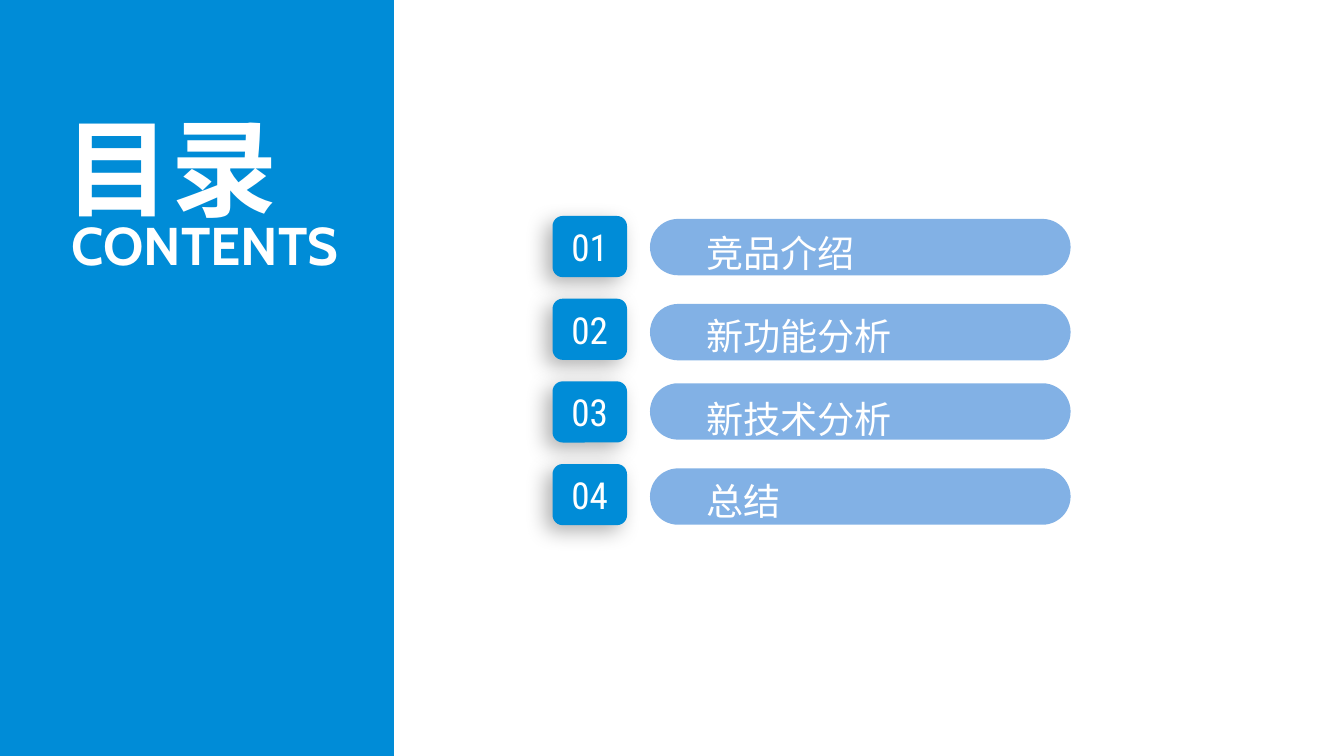
from dataclasses import dataclass

from lxml import etree
from pptx import Presentation
from pptx import util as u
from pptx.dml.color import RGBColor
from pptx.enum import shapes, text
from pptx.oxml.ns import qn


@dataclass(frozen=True)
class Theme:
    blue: str = "008CD7"
    light_blue: str = "82B1E5"
    white: str = "FFFFFF"
    shadow: str = "000000"
    chinese_font: str = "Noto Sans CJK SC"
    latin_font: str = "Cabin"
    number_font: str = "Roboto Condensed"
    title_size: int = 80
    subtitle_size: int = 40
    entry_size: int = 28


def write(frame, words, *, font, size, color, bold=False,
          align=text.PP_ALIGN.LEFT, anchor=text.MSO_ANCHOR.TOP,
          wrap=True, line_spacing=1.2):
    """Fill a text frame with one formatted line."""
    frame.auto_size = text.MSO_AUTO_SIZE.NONE
    frame.word_wrap = wrap
    frame.vertical_anchor = anchor
    para = frame.paragraphs[0]
    para.alignment = align
    para.line_spacing = line_spacing
    span = para.add_run()
    span.text = words
    span.font.size = u.Pt(size)
    span.font.bold = bold
    span.font.color.rgb = RGBColor.from_string(color)
    span.font.name = font
    # East Asian characters need their own typeface entry
    latin = span.font.fill and span._r.rPr.find(qn("a:latin"))
    east_asian = etree.Element(qn("a:ea"), typeface=font)
    latin.addnext(east_asian)


class ContentsPage:
    def __init__(self, deck, theme):
        self.theme = theme
        self.page = deck.slides.add_slide(deck.slide_layouts[5])

    def block(self, kind, left, top, width, height, color):
        shape = self.page.shapes.add_shape(
            kind, *map(u.Inches, (left, top, width, height)))
        shape.fill.solid()
        shape.fill.fore_color.rgb = RGBColor.from_string(color)
        shape.line.fill.background()
        shape.shadow.inherit = False
        return shape

    def panel(self, left, top, width, height):
        return self.block(shapes.MSO_SHAPE.RECTANGLE,
                          left, top, width, height, self.theme.blue)

    def title(self, words, left, top, width, height, behind):
        title = self.page.shapes.title
        title.left, title.top, title.width, title.height = map(
            u.Inches, (left, top, width, height))
        write(title.text_frame, words, font=self.theme.chinese_font,
              size=self.theme.title_size, color=self.theme.white, bold=True)
        behind.element.addnext(title.element)

    def label(self, words, left, top, width, height, **style):
        box = self.page.shapes.add_textbox(
            *map(u.Inches, (left, top, width, height)))
        write(box.text_frame, words, color=self.theme.white, **style)

    def pill(self, left, top, width, height):
        shape = self.block(shapes.MSO_SHAPE.ROUNDED_RECTANGLE,
                           left, top, width, height, self.theme.light_blue)
        shape.adjustments[0] = 0.5

    def badge(self, number, left, top, width, height):
        shape = self.block(shapes.MSO_SHAPE.ROUNDED_RECTANGLE,
                           left, top, width, height, self.theme.blue)
        write(shape.text_frame, number, font=self.theme.number_font,
              size=self.theme.entry_size, color=self.theme.white,
              align=text.PP_ALIGN.CENTER, anchor=text.MSO_ANCHOR.MIDDLE,
              line_spacing=1.0)
        self.drop_shadow(shape)

    def drop_shadow(self, shape):
        effects = shape.element.spPr.find(qn("a:effectLst"))
        shadow = etree.SubElement(
            effects, qn("a:outerShdw"), blurRad=str(u.Pt(16)),
            dist=str(u.Pt(7)), dir=str(135 * 60000), algn="tr",
            rotWithShape="0")
        color = etree.SubElement(shadow, qn("a:srgbClr"), val=self.theme.shadow)
        etree.SubElement(color, qn("a:alpha"), val="30000")


def main():
    deck = Presentation()
    deck.slide_width, deck.slide_height = u.Inches(14.06), u.Inches(7.91)
    theme = Theme()
    contents = ContentsPage(deck, theme)

    # Blue side panel with the heading
    panel = contents.panel(0, -0.03, 4.12, 7.94)
    contents.title("目录", 0.58, 0.75, 2.63, 1.58, behind=panel)
    contents.label("CONTENTS", 0.65, 2.04, 3.04, 0.84, bold=True,
                   font=theme.latin_font, size=theme.subtitle_size)

    # Numbered entries: the pills are unevenly spaced, the rest is regular
    entries = [("竞品介绍", 2.29, 1.77), ("新功能分析", 3.18, 2.14),
               ("新技术分析", 4.01, 2.17), ("总结", 4.9, 0.99)]
    first_top, pitch = 2.26, 0.865
    for index, (words, pill_top, text_width) in enumerate(entries):
        top = first_top + index * pitch
        contents.pill(6.8, pill_top, 4.4, 0.59)
        contents.label(words, 7.29, top + 0.01, text_width, 0.62, wrap=False,
                       font=theme.chinese_font, size=theme.entry_size)
        contents.badge(f"{index + 1:02d}", 5.78, top, 0.78, 0.64)

    deck.save("out.pptx")


if __name__ == "__main__":
    main()
